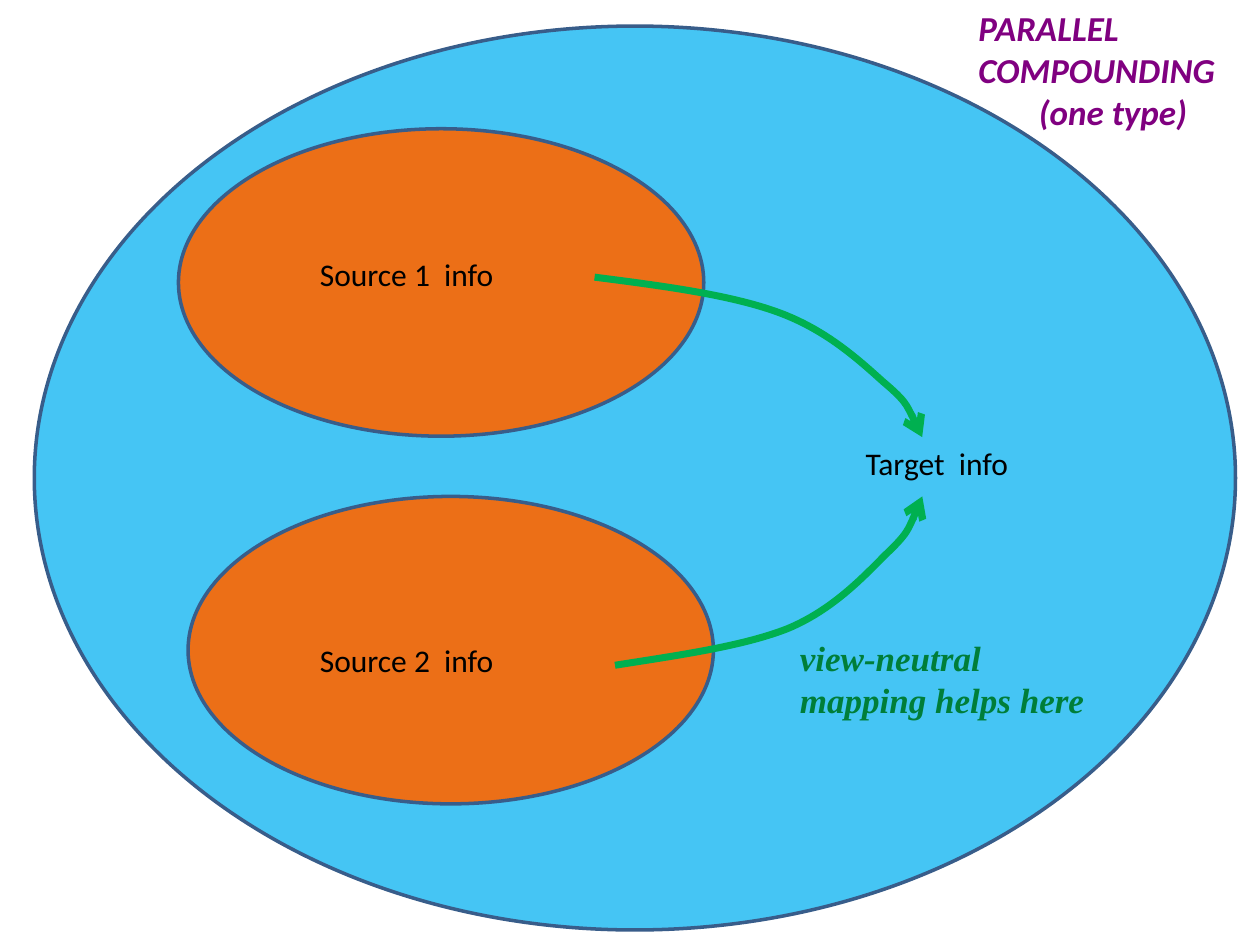
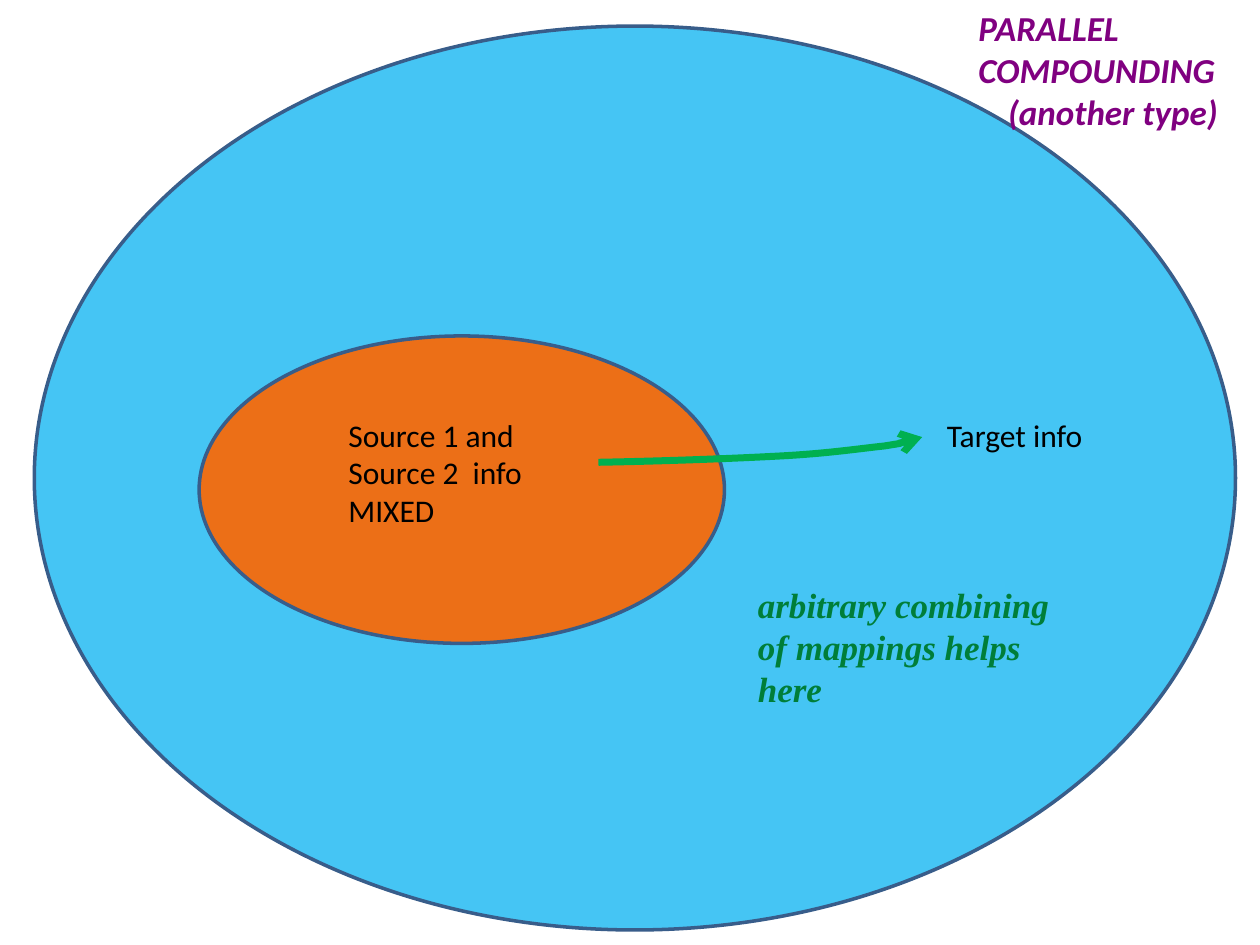
from dataclasses import dataclass

from lxml.etree import SubElement
from pptx import Presentation
from pptx.dml.color import RGBColor
from pptx.enum.shapes import MSO_SHAPE
from pptx.enum.text import MSO_AUTO_SIZE, PP_ALIGN
from pptx.oxml.ns import qn
from pptx.slide import Slide
from pptx.util import Pt

BLUE = RGBColor(0x00, 0xB0, 0xF0)
ORANGE = RGBColor(0xFF, 0x66, 0x00)
OUTLINE = RGBColor(0x38, 0x5D, 0x8A)
ARROW_GREEN = RGBColor(0x00, 0xB0, 0x50)
NOTE_GREEN = RGBColor(0x00, 0x7E, 0x39)
PURPLE = RGBColor(0x80, 0x00, 0x80)
BLACK = RGBColor(0x00, 0x00, 0x00)

SOURCE_W, SOURCE_H = 300.2, 175.7
Point = tuple[float, float]


@dataclass(frozen=True)
class TextStyle:
    font: str
    size: float
    color: RGBColor
    emphasis: bool = False


LABEL = TextStyle("Calibri", 18, BLACK)
TITLE = TextStyle("Calibri", 20, PURPLE, True)
NOTE = TextStyle("Times New Roman", 20, NOTE_GREEN, True)


@dataclass(frozen=True)
class Oval:
    left: float
    top: float
    width: float = SOURCE_W
    height: float = SOURCE_H
    color: RGBColor = ORANGE
    opacity: int = 90


@dataclass(frozen=True)
class Label:
    text: str
    left: float
    top: float
    width: float
    height: float = 29
    style: TextStyle = LABEL


@dataclass(frozen=True)
class Diagram:
    kind: str
    sources: list[Oval]
    labels: list[Label]
    arrows: list[list[Point]]


VIEW = Oval(19.6, 14.9, 686.4, 516.5, BLUE, 73)

DIAGRAMS = [
    Diagram(
        "(one type)",
        [Oval(102, 73.6), Oval(107.5, 283.7)],
        [
            Label("Target  info", 487.5, 250, 190),
            Label("Source 1  info", 175.7, 142, 142),
            Label("Source 2  info", 175.7, 363, 142),
            Label("view-neutral mapping helps here", 450, 360, 185, 55.5, NOTE),
        ],
        [
            [(339.8, 158.4), (378.7, 163.4), (417.6, 168.5), (445, 178.6),
             (472.3, 188.6), (491, 205.9), (504.7, 218.2),
             (518.4, 229.7), (522.7, 239.8), (527, 249.8)],
            [(351.4, 380.2), (388.1, 374.4), (424.1, 369.4), (450, 359.3),
             (475.9, 348.5), (493.2, 329.8), (506.2, 316.8),
             (519.1, 304.6), (523.4, 293.8), (527, 283.7)],
        ],
    ),
    Diagram(
        "(another type)",
        [Oval(113.8, 192)],
        [
            Label("Target info", 534, 234, 168),
            Label("Source 1 and Source 2  info MIXED", 192, 234, 142, 72),
            Label("arbitrary combining of mappings helps here",
                  426, 330, 185, 79, NOTE),
        ],
        [
            [(342, 264.2), (380.2, 263.5), (418.3, 262.1), (445.7, 260.6),
             (473, 259.2), (491.8, 256.3), (505.4, 254.9),
             (519.1, 252.7), (522.7, 251.3), (527, 249.8)],
        ],
    ),
]


def add_oval(s: Slide, oval: Oval) -> None:
    sp = s.shapes.add_shape(MSO_SHAPE.OVAL, Pt(oval.left), Pt(oval.top),
                            Pt(oval.width), Pt(oval.height))
    sp.shadow.inherit = False
    sp.fill.solid()
    sp.fill.fore_color.rgb = oval.color
    color = sp.fill._xPr.find(qn("a:solidFill")).find(qn("a:srgbClr"))
    SubElement(color, qn("a:alpha"), val=str(oval.opacity * 1000))
    sp.line.color.rgb = OUTLINE
    sp.line.width = Pt(2)


def add_text(s: Slide, label: Label, subtitle: str = "") -> None:
    tf = s.shapes.add_textbox(Pt(label.left), Pt(label.top), Pt(label.width),
                              Pt(label.height)).text_frame
    tf.word_wrap = True
    tf.auto_size = MSO_AUTO_SIZE.SHAPE_TO_FIT_TEXT
    lines = [(tf.paragraphs[0], label.text)]
    if subtitle:
        p = tf.add_paragraph()
        p.alignment = PP_ALIGN.CENTER
        lines.append((p, subtitle))
    style = label.style
    for p, text in lines:
        r = p.add_run()
        r.text = text
        r.font.name = style.font
        r.font.size = Pt(style.size)
        r.font.color.rgb = style.color
        r.font.bold = r.font.italic = style.emphasis


def add_curved_arrow(s: Slide, points: list[Point]) -> None:
    start, *rest = [(Pt(x), Pt(y)) for x, y in points]
    builder = s.shapes.build_freeform(*start)
    builder.add_line_segments(rest, close=False)
    sp = builder.convert_to_shape()
    sp.shadow.inherit = False
    sp.fill.background()
    sp.line.color.rgb = ARROW_GREEN
    sp.line.width = Pt(4)
    SubElement(sp.line._get_or_add_ln(), qn("a:tailEnd"), type="arrow")
    outline = next(sp._element.iter(qn("a:path")))
    segments = outline.findall(qn("a:lnTo"))
    for i in range(0, len(segments), 3):
        curve = SubElement(outline, qn("a:cubicBezTo"))
        for segment in segments[i:i + 3]:
            curve.append(segment[0])
            outline.remove(segment)


def draw_diagram(s: Slide, diagram: Diagram) -> None:
    for oval in [VIEW, *diagram.sources]:
        add_oval(s, oval)
    for points in diagram.arrows:
        add_curved_arrow(s, points)
    title = Label("PARALLEL COMPOUNDING", 552, 0, 168, 79, TITLE)
    add_text(s, title, diagram.kind)
    for label in diagram.labels:
        add_text(s, label)


def main() -> None:
    prs = Presentation()
    prs.slide_width, prs.slide_height = Pt(720), Pt(540)
    for diagram in DIAGRAMS:
        draw_diagram(prs.slides.add_slide(prs.slide_layouts[6]), diagram)
    prs.save("out.pptx")


if __name__ == "__main__":
    main()
